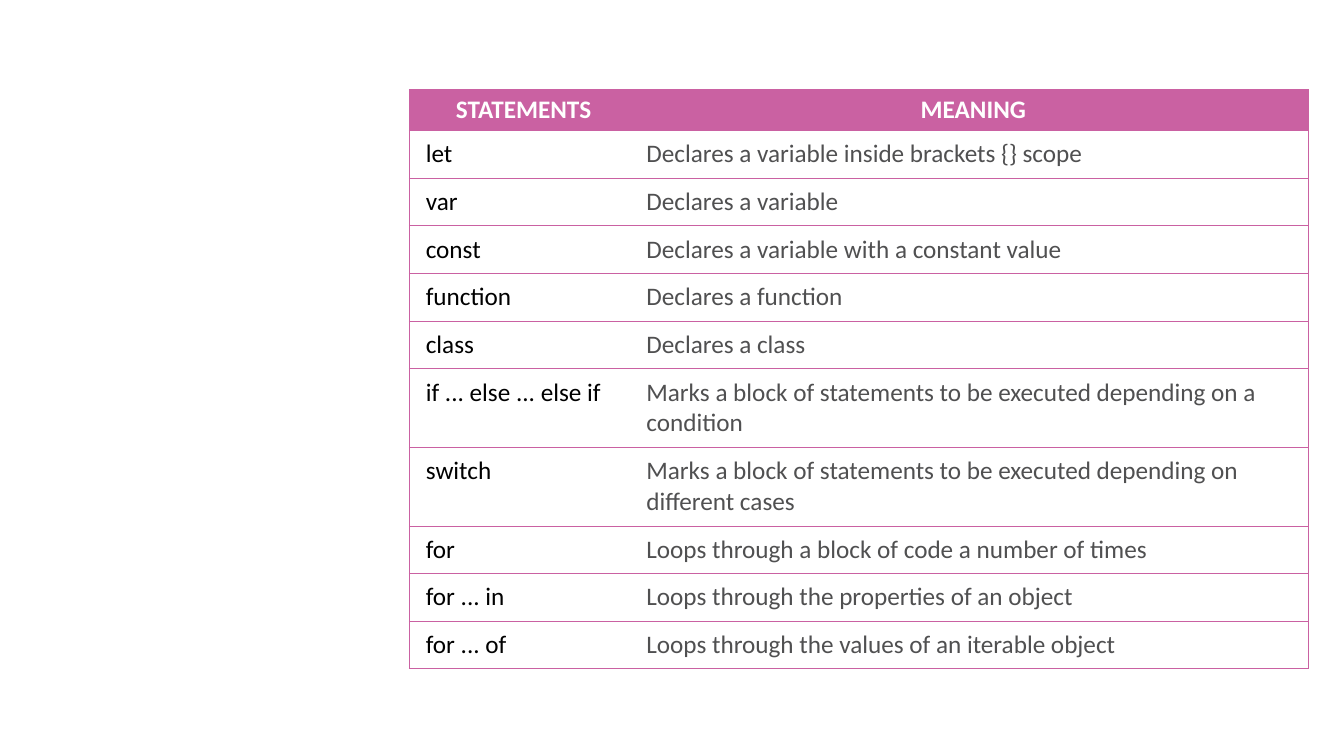
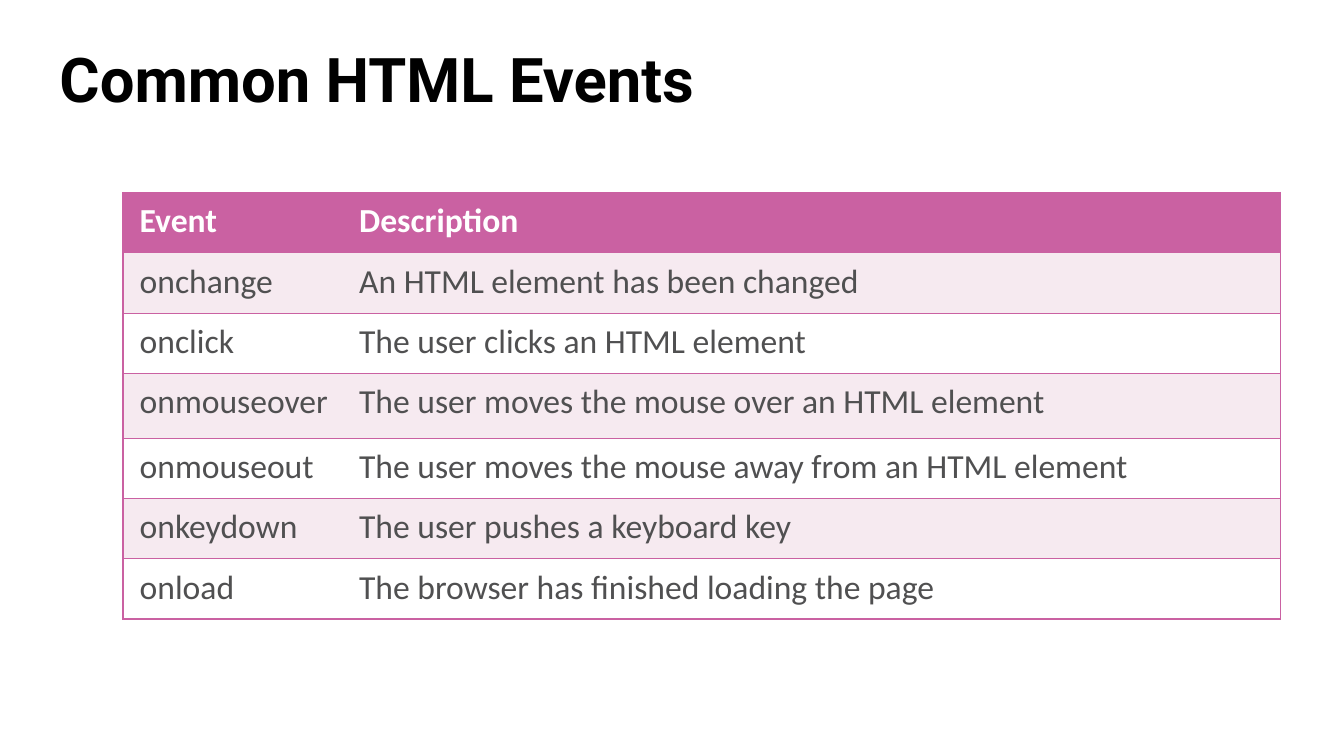
from dataclasses import dataclass

from lxml import etree
from pptx import Presentation
from pptx import util as u
from pptx.dml.color import RGBColor
from pptx.enum import text
from pptx.oxml import ns

PINK, PALE_PINK, WHITE = "CA61A2", "F6EAF0", "FFFFFF"
BLACK, GREY = "000000", "505051"
TABLE_FONT, TITLE_FONT = "Calibri", "Roboto"
NO_STYLE_NO_GRID = "{2D5ABB26-0587-4C30-8999-92F81FD0307C}"
BODY_MARGINS = {"margin_top": 0.21, "margin_right": 0.21, "margin_bottom": 0.21}
FIRST_COLUMN_MARGIN, OTHER_COLUMN_MARGIN = 0.42, 0.21


@dataclass
class TableDesign:
    """Lengths are in centimetres, font size and line width in points."""

    left: float
    top: float
    column_widths: tuple[float, ...]
    row_heights: list[float]
    font_size: int
    line_width: float
    column_colors: tuple[str, str]
    band_colors: tuple[str, str]
    header_centered: bool


STATEMENTS = [
    ("STATEMENTS", "MEANING"),
    ("let", "Declares a variable inside brackets {} scope"),
    ("var", "Declares a variable"),
    ("const", "Declares a variable with a constant value"),
    ("function", "Declares a function"),
    ("class", "Declares a class"),
    ("if ... else ... else if",
     "Marks a block of statements to be executed depending on a condition"),
    ("switch",
     "Marks a block of statements to be executed depending on different cases"),
    ("for", "Loops through a block of code a number of times"),
    ("for ... in", "Loops through the properties of an object"),
    ("for ... of", "Loops through the values of an iterable object"),
]
STATEMENTS_DESIGN = TableDesign(
    left=10.31, top=2.26, column_widths=(5.77, 16.9),
    row_heights=[1.03] + [1.2] * 5 + [1.98] * 2 + [1.2] * 3,
    font_size=18, line_width=0.5, column_colors=(BLACK, GREY),
    band_colors=(WHITE, WHITE), header_centered=True,
)

EVENTS = [
    ("Event", "Description"),
    ("onchange", "An HTML element has been changed"),
    ("onclick", "The user clicks an HTML element"),
    ("onmouseover", "The user moves the mouse over an HTML element"),
    ("onmouseout", "The user moves the mouse away from an HTML element"),
    ("onkeydown", "The user pushes a keyboard key"),
    ("onload", "The browser has finished loading the page"),
]
EVENTS_DESIGN = TableDesign(
    left=3.1, top=4.85, column_widths=(5.74, 23.42),
    row_heights=[1.52] * 3 + [1.63] + [1.52] * 3,
    font_size=24, line_width=1, column_colors=(GREY, GREY),
    band_colors=(PALE_PINK, WHITE), header_centered=False,
)


def rgb(color: str) -> RGBColor:
    return RGBColor.from_string(color)


def set_font(paragraph, color: str, **formats) -> None:
    for name, value in formats.items():
        setattr(paragraph.font, name, value)
    paragraph.font.color.rgb = rgb(color)


def set_borders(cell, width: float, sides: str) -> None:
    """Draw the given sides (letters of LRTB) and hide the others."""
    properties = cell._tc.get_or_add_tcPr()
    for side in "LRTB":
        line = etree.SubElement(properties, ns.qn(f"a:ln{side}"), w=str(u.Pt(width)))
        if side in sides:
            fill = etree.SubElement(line, ns.qn("a:solidFill"))
            etree.SubElement(fill, ns.qn("a:srgbClr"), val=PINK)
        else:
            etree.SubElement(line, ns.qn("a:noFill"))


def fill_cell(cell, words: str, row: int, column: int, design: TableDesign) -> None:
    is_header = row == 0
    last_column = len(design.column_widths) - 1
    sides = "TB" + "L" * (column == 0) + "R" * (column == last_column)
    set_borders(cell, design.line_width, sides)
    cell.fill.solid()
    cell.fill.fore_color.rgb = rgb(PINK if is_header else design.band_colors[(row - 1) % 2])

    cell.text = words
    paragraph = cell.text_frame.paragraphs[0]
    set_font(paragraph, WHITE if is_header else design.column_colors[column],
             name=TABLE_FONT, size=u.Pt(design.font_size), bold=is_header)
    if is_header and design.header_centered:
        paragraph.alignment = text.PP_ALIGN.CENTER
        return
    left_margin = OTHER_COLUMN_MARGIN if column else FIRST_COLUMN_MARGIN
    for name, value in {**BODY_MARGINS, "margin_left": left_margin}.items():
        setattr(cell, name, u.Cm(value))


def add_table(slide, rows: list[tuple[str, str]], design: TableDesign) -> None:
    frame = slide.shapes.add_table(
        len(rows), len(design.column_widths), u.Cm(design.left), u.Cm(design.top),
        u.Cm(sum(design.column_widths)), u.Cm(sum(design.row_heights)))
    table = frame.table
    table.horz_banding = False
    for style in frame.element.iter(ns.qn("a:tableStyleId")):
        style.text = NO_STYLE_NO_GRID
    for column, width in zip(table.columns, design.column_widths):
        column.width = u.Cm(width)
    for row, height in zip(table.rows, design.row_heights):
        row.height = u.Cm(height)
    for row_index, row_words in enumerate(rows):
        for column_index, words in enumerate(row_words):
            cell = table.cell(row_index, column_index)
            fill_cell(cell, words, row_index, column_index, design)


def add_title(slide, words: str) -> None:
    shape = slide.shapes.add_textbox(u.Cm(1.25), u.Cm(0.86), u.Cm(31.01), u.Cm(2.46))
    frame = shape.text_frame
    frame.word_wrap = True
    frame.vertical_anchor = text.MSO_ANCHOR.MIDDLE
    paragraph = frame.paragraphs[0]
    paragraph.text = words
    paragraph.line_spacing = 0.9
    set_font(paragraph, BLACK, name=TITLE_FONT, size=u.Pt(44), bold=True)


def main() -> None:
    presentation = Presentation()
    presentation.slide_width, presentation.slide_height = u.Cm(33.87), u.Cm(19.05)
    blank_layout = presentation.slide_layouts[6]

    statements_slide = presentation.slides.add_slide(blank_layout)
    add_table(statements_slide, STATEMENTS, STATEMENTS_DESIGN)

    events_slide = presentation.slides.add_slide(blank_layout)
    add_table(events_slide, EVENTS, EVENTS_DESIGN)
    add_title(events_slide, "Common HTML Events")

    presentation.save("out.pptx")


if __name__ == "__main__":
    main()
